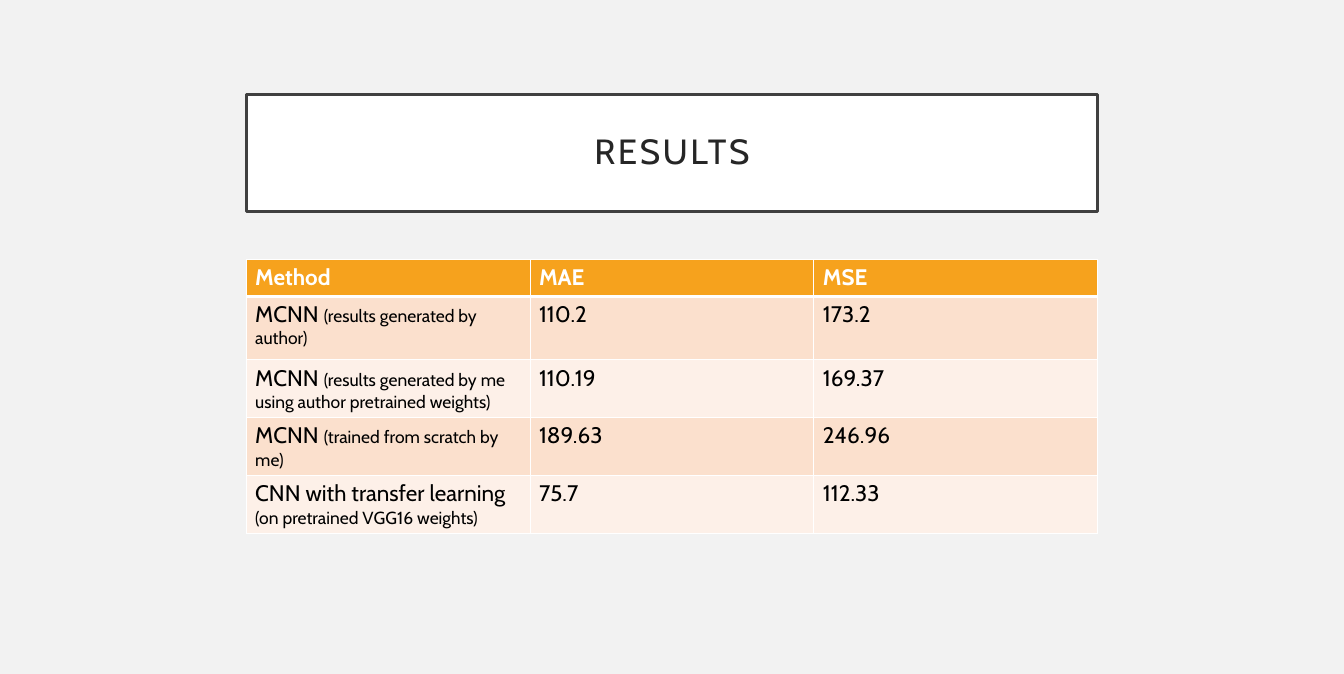
from lxml import etree
from pptx import Presentation
from pptx import util as u
from pptx.dml.color import RGBColor
from pptx.enum import shapes, text
from pptx.oxml import ns

WIDTH, HEIGHT = 14.96, 7.5
LEFT, CONTENT_WIDTH = 2.74, 9.48
TITLE_TOP, TITLE_HEIGHT = 1.05, 1.3
TABLE_TOP = 2.89
ROW_HEIGHTS = [0.4, 0.71, 0.64, 0.64, 0.64]
FONT = "Cabin"
HEADER_FILL = "F6A21D"
BAND_FILLS = ["FDF0E8", "FBE0CD"]

HEADER = ["Method", "MAE", "MSE"]
RESULTS = [
    ("MCNN ", "(results generated by author)", "110.2", "173.2"),
    ("MCNN ", "(results generated by me using author pretrained weights)", "110.19", "169.37"),
    ("MCNN ", "(trained from scratch by me)", "189.63", "246.96"),
    ("CNN with transfer learning ", "(on pretrained VGG16 weights)", "75.7", "112.33"),
]


def color(value):
    return RGBColor.from_string(value)


def paint(target, value):
    target.fill.solid()
    target.fill.fore_color.rgb = color(value)


def add_text(para, words, size=18, ink="000000", bold=False, spacing=0):
    span = para.add_run()
    span.text = words
    span.font.name = FONT
    span.font.size = u.Pt(size)
    span.font.bold = bold
    span.font.color.rgb = color(ink)
    if spacing:
        span.font._element.set("spc", str(spacing * 100))


def add_borders(cell, bottom=1):
    """Put white lines on all four sides of a cell, before its fill."""
    properties = cell._tc.get_or_add_tcPr()
    for place, (side, points) in enumerate(zip("LRTB", (1, 1, 1, bottom))):
        line = etree.Element(ns.qn(f"a:ln{side}"), w=str(u.Pt(points)))
        fill = etree.SubElement(line, ns.qn("a:solidFill"))
        etree.SubElement(fill, ns.qn("a:srgbClr"), val="FFFFFF")
        properties.insert(place, line)


def add_title(page, words):
    box = page.shapes.add_shape(
        shapes.MSO_SHAPE.RECTANGLE,
        u.Inches(LEFT), u.Inches(TITLE_TOP), u.Inches(CONTENT_WIDTH), u.Inches(TITLE_HEIGHT))
    box.shadow.inherit = False
    paint(box, "FFFFFF")
    box.line.color.rgb = color("404040")
    box.line.width = u.Pt(2.5)
    frame = box.text_frame
    frame.word_wrap = True
    frame.vertical_anchor = text.MSO_ANCHOR.MIDDLE
    frame.margin_left = frame.margin_right = u.Inches(0.2)
    frame.margin_top = frame.margin_bottom = u.Inches(0.2)
    para = frame.paragraphs[0]
    para.alignment = text.PP_ALIGN.CENTER
    para.line_spacing = 0.9
    add_text(para, words, size=28, ink="262626", spacing=2)


def add_results_table(page):
    table = page.shapes.add_table(
        len(ROW_HEIGHTS), len(HEADER), u.Inches(LEFT), u.Inches(TABLE_TOP),
        u.Inches(CONTENT_WIDTH), u.Inches(sum(ROW_HEIGHTS))).table
    table.horz_banding = False
    for row, height in zip(table.rows, ROW_HEIGHTS):
        row.height = u.Inches(height)

    # Header row
    for cell, label in zip(table.rows[0].cells, HEADER):
        paint(cell, HEADER_FILL)
        add_borders(cell, bottom=3)
        add_text(cell.text_frame.paragraphs[0], label, ink="FFFFFF", bold=True)

    # Banded result rows: method with a smaller note, then the two errors
    for index, (method, note, *errors) in enumerate(RESULTS, start=1):
        for cell, words in zip(table.rows[index].cells, [method, *errors]):
            paint(cell, BAND_FILLS[index % 2])
            add_borders(cell)
            add_text(cell.text_frame.paragraphs[0], words)
        add_text(table.cell(index, 0).text_frame.paragraphs[0], note, size=14)


def main():
    deck = Presentation()
    deck.slide_width, deck.slide_height = u.Inches(WIDTH), u.Inches(HEIGHT)
    page = deck.slides.add_slide(deck.slide_layouts[6])
    paint(page.background, "F2F2F2")
    add_title(page, "RESULTS")
    add_results_table(page)
    deck.save("out.pptx")


if __name__ == "__main__":
    main()
